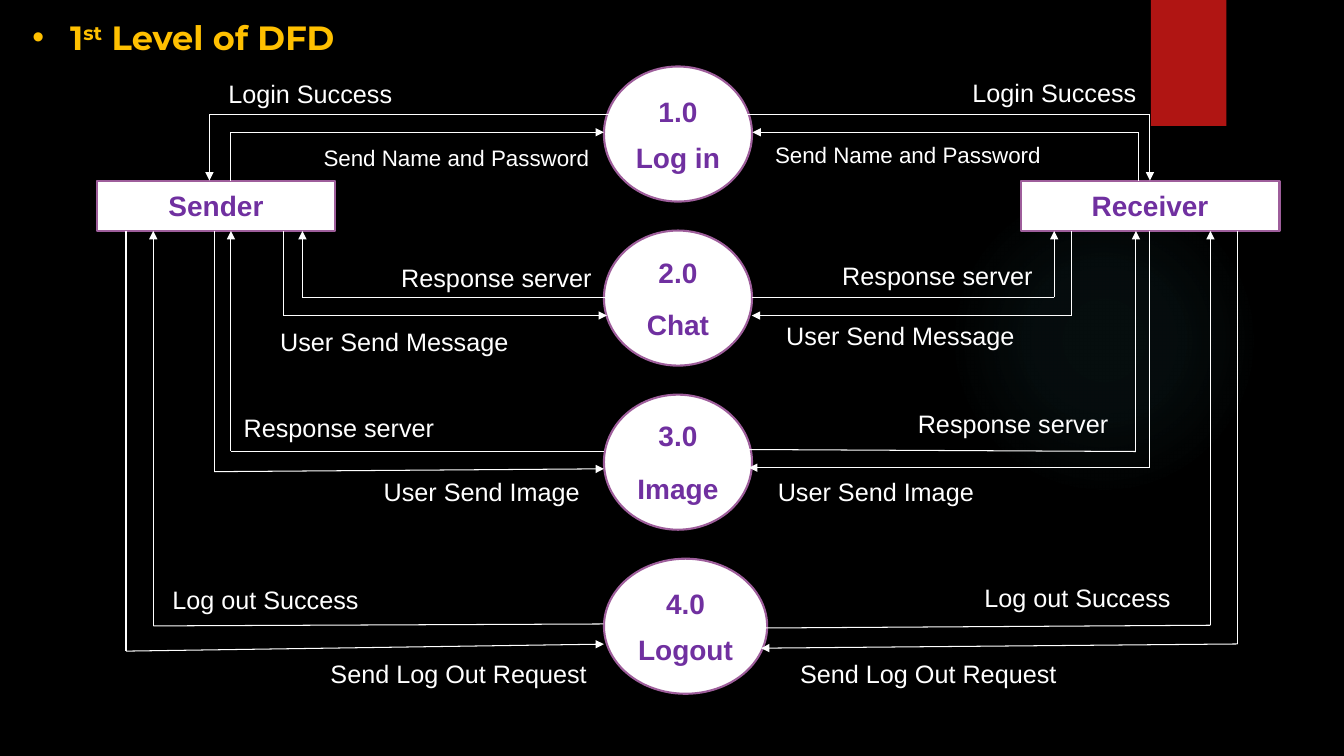
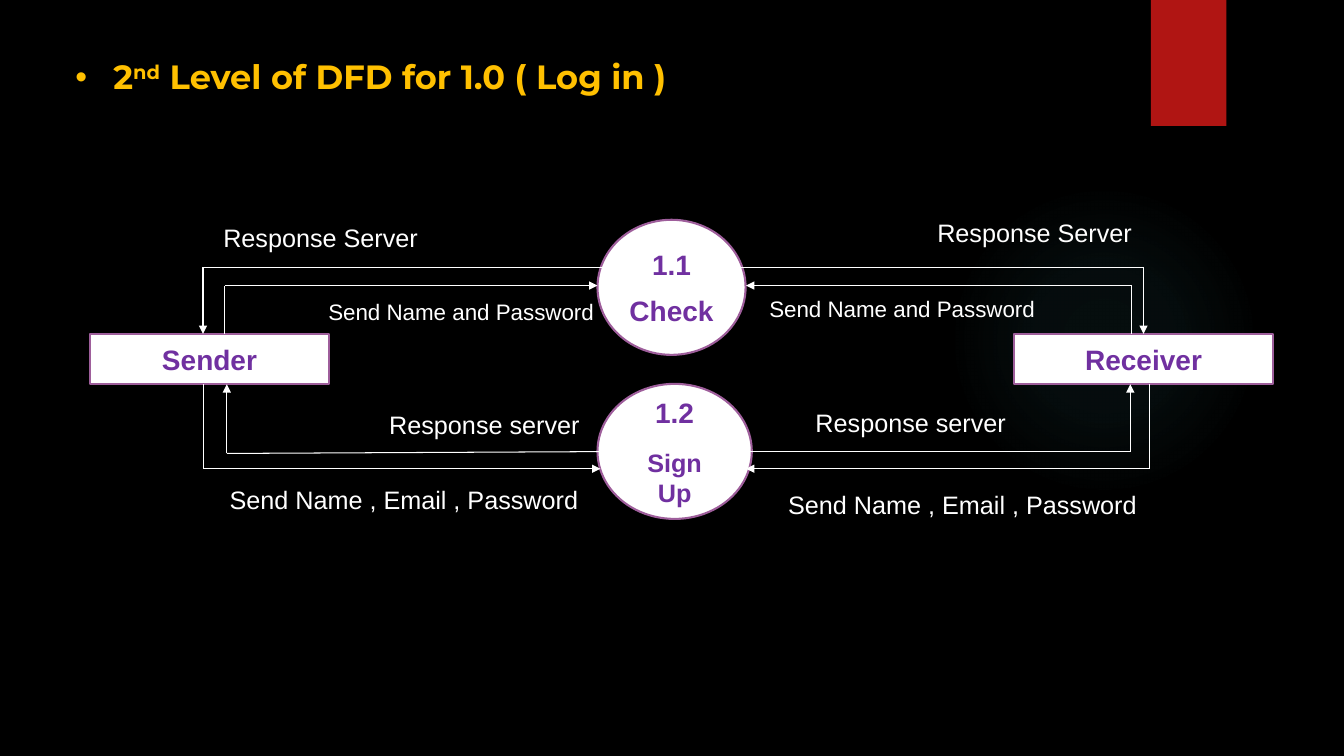
from dataclasses import dataclass

from lxml import etree
from pptx import Presentation
from pptx.dml.color import RGBColor
from pptx.enum import shapes as kinds, text as txt
from pptx.oxml import parse_xml
from pptx.oxml.ns import nsdecls, qn
from pptx.util import Pt

COLORS = {
    "background": "000000",
    "ribbon": "B01513",
    "glow": "50B9C1",
    "title": "FFC000",
    "box": "FFFFFF",
    "box_line": "9E5E9B",
    "box_text": "7030A0",
    "flow": "FFFFFF",
}
TITLE_FONT, BODY_FONT = "Montserrat", "Arial"
GLOW_STOPS = [(0, 7), (36, 6), (69, 0)]  # position and opacity in percent

# Diagram grid, relative to the diagram's top left corner
ROW_PITCH = 117.2
PROCESS_LEFT, PROCESS_HEIGHT = 362.4, 96.5
ENTITY_TOP, ENTITY_HEIGHT = 81.5, 36
ENTITIES = [("Sender", 0, 170.6), ("Receiver", 660, 185)]


@dataclass
class Lane:
    """Elbow from an entity column to a process port; y is relative to the row."""
    column: float
    port: float
    y: float
    drop: float = 0  # how much lower the lane is at the column


@dataclass
class Flow:
    """A named data flow: sender and receiver lanes, with a label spot for each."""
    label: str
    lanes: list
    spots: list
    size: int = 18


@dataclass
class Process:
    number: str
    name: str
    width: float
    name_gap: float
    reply: Flow    # process to entities
    request: Flow  # entities to process
    name_size: int = 20


def color(name):
    return RGBColor.from_string(COLORS[name])


def set_font(run, size, color_name, face=BODY_FONT, bold=False):
    style = {"size": Pt(size), "name": face, "bold": bold}
    for attribute, value in style.items():
        setattr(run.font, attribute, value)
    run.font.color.rgb = color(color_name)


def add_plain_shape(slide, kind, left, top, width, height):
    shape = slide.shapes.add_shape(kind, Pt(left), Pt(top), Pt(width), Pt(height))
    shape.shadow.inherit = False
    shape.line.fill.background()
    return shape


# Shared backdrop: black ground, soft glow, red ribbon
def add_base_slide(deck):
    slide = deck.slides.add_slide(deck.slide_layouts[6])
    slide.background.fill.solid()
    slide.background.fill.fore_color.rgb = color("background")

    glow = add_plain_shape(slide, kinds.MSO_SHAPE.OVAL, 677.5, 132, 222, 222)
    glow.fill.background()
    stops = "".join(
        f'<a:gs pos="{position * 1000}"><a:srgbClr val="{COLORS["glow"]}">'
        f'<a:alpha val="{opacity * 1000}"/></a:srgbClr></a:gs>'
        for position, opacity in GLOW_STOPS)
    gradient = parse_xml(
        f'<a:gradFill {nsdecls("a")}><a:gsLst>{stops}</a:gsLst><a:path path="circle">'
        '<a:fillToRect l="50000" t="50000" r="50000" b="50000"/></a:path></a:gradFill>')
    properties = glow._element.spPr
    properties.replace(properties.find(qn("a:noFill")), gradient)

    ribbon = add_plain_shape(slide, kinds.MSO_SHAPE.RECTANGLE, 822, 0, 54, 90)
    ribbon.fill.solid()
    ribbon.fill.fore_color.rgb = color("ribbon")
    return slide


# Bulleted title with a raised ordinal ending
def add_title(slide, left, top, width, ordinal, ending, rest):
    box = slide.shapes.add_textbox(Pt(left), Pt(top), Pt(width), Pt(36))
    box.text_frame.word_wrap = True
    paragraph = box.text_frame.paragraphs[0]
    layout = paragraph._p.get_or_add_pPr()
    layout.set("marL", str(Pt(27)))
    layout.set("indent", str(-Pt(27)))
    etree.SubElement(layout, qn("a:buFont")).set("typeface", BODY_FONT)
    etree.SubElement(layout, qn("a:buChar")).set("char", "•")
    for words, baseline in ((ordinal, 0), (ending, 30000), (f" {rest}", 0)):
        run = paragraph.add_run()
        run.text = words
        set_font(run, 24, "title", TITLE_FONT, bold=True)
        run._r.get_or_add_rPr().set("baseline", str(baseline))


# White box or circle; lines are (text, size, space before)
def add_node(slide, kind, left, top, width, height, lines):
    node = add_plain_shape(slide, kind, left, top, width, height)
    node.fill.solid()
    node.fill.fore_color.rgb = color("box")
    node.line.color.rgb = color("box_line")
    node.line.width = Pt(1.5)
    frame = node.text_frame
    layout = {"word_wrap": True, "vertical_anchor": txt.MSO_ANCHOR.MIDDLE,
              "margin_left": Pt(6), "margin_right": Pt(6)}
    for attribute, value in layout.items():
        setattr(frame, attribute, value)
    for index, (words, size, gap) in enumerate(lines):
        paragraph = frame.add_paragraph() if index else frame.paragraphs[0]
        paragraph.alignment = txt.PP_ALIGN.CENTER
        paragraph.space_before = Pt(gap)
        run = paragraph.add_run()
        run.text = words
        set_font(run, size, "box_text", bold=True)


def add_line(slide, start, end, arrow=False):
    line = slide.shapes.add_connector(
        kinds.MSO_CONNECTOR.STRAIGHT, *(Pt(value) for value in (*start, *end)))
    line.line.color.rgb = color("flow")
    line.line.width = Pt(0.75)
    if arrow:
        etree.SubElement(line.line._get_or_add_ln(), qn("a:tailEnd")).set("type", "triangle")
    etree.SubElement(line._element.spPr, qn("a:effectLst"))


def add_label(slide, left, top, words, size):
    width = len(words) * size * 0.6 + 16
    box = slide.shapes.add_textbox(Pt(left), Pt(top), Pt(width), Pt(size * 1.2 + 7.2))
    box.text_frame.word_wrap = True
    run = box.text_frame.paragraphs[0].add_run()
    run.text = words
    set_font(run, size, "flow")


# Both sides of one flow, with labels
def add_flow(slide, left, row_top, entity_edge, flow, to_process):
    for lane, (label_left, label_top) in zip(flow.lanes, flow.spots):
        entity = (left + lane.column, entity_edge)
        corner = (left + lane.column, row_top + lane.y + lane.drop)
        port = (left + lane.port, row_top + lane.y)
        if to_process:
            add_line(slide, entity, corner)
            add_line(slide, corner, port, arrow=True)
        else:
            add_line(slide, port, corner)
            add_line(slide, corner, entity, arrow=True)
        add_label(slide, left + label_left, row_top + label_top, flow.label, flow.size)


# Entities at the sides, processes down the middle; the first row is above the entities
def add_diagram(slide, left, top, processes):
    for name, offset, width in ENTITIES:
        add_node(slide, kinds.MSO_SHAPE.RECTANGLE, left + offset, top + ENTITY_TOP,
                 width, ENTITY_HEIGHT, [(name, 20, 0)])
    for row, process in enumerate(processes):
        row_top = top + row * ROW_PITCH
        edge = top + ENTITY_TOP + (ENTITY_HEIGHT if row else 0)
        add_node(slide, kinds.MSO_SHAPE.OVAL, left + PROCESS_LEFT, row_top,
                 process.width, PROCESS_HEIGHT,
                 [(process.number, 20, 0), (process.name, process.name_size, process.name_gap)])
        add_flow(slide, left, row_top, edge, process.reply, to_process=False)
        add_flow(slide, left, row_top, edge, process.request, to_process=True)


# Lanes of the top row, the same in both diagrams
TOP_REPLY = [Lane(80.6, 373, 34), Lane(752.4, 460, 34)]
TOP_REQUEST = [Lane(96, 362.4, 47), Lane(744, 468.5, 47)]

LEVEL_1 = [
    Process("1.0", "Log in", 105.8, 9,
            Flow("Login Success", TOP_REPLY, [(87, 5), (618.5, 4.5)]),
            Flow("Send Name and Password", TOP_REQUEST, [(155, 52), (477.5, 49.5)], 16)),
    Process("2.0", "Chat", 105.8, 13.5,
            Flow("Response server", [Lane(147, 364.5, 47.7), Lane(684, 468, 47.7)],
                 [(210.5, 19), (525.5, 17.5)]),
            Flow("User Send Message", [Lane(133.4, 364.5, 60.7), Lane(696.3, 468, 60.7)],
                 [(124, 65), (485.5, 60.5)])),
    Process("3.0", "Image", 105.8, 14,
            Flow("Response server", [Lane(96, 362.4, 40.5), Lane(742.4, 466, 39.2, 1.4)],
                 [(98, 9), (579.5, 6)]),
            Flow("User Send Image", [Lane(84, 362.4, 53, 2), Lane(752.4, 466, 52.2)],
                 [(198, 55), (479.5, 55)])),
    Process("4.0", "Logout", 116.6, 8.5,
            Flow("Log out Success", [Lane(40.5, 362, 46.6, 1.4), Lane(795.6, 474.6, 49.5, -2)],
                 [(47, 15), (627, 13.5)]),
            Flow("Send Log Out Request", [Lane(21, 362.4, 61, 5), Lane(815, 474.6, 63.9, -3)],
                 [(160, 67.5), (495.5, 67.5)])),
]

LEVEL_2 = [
    Process("1.1", "Check", 105.8, 9,
            Flow("Response Server", TOP_REPLY, [(88, -1.5), (598, -5)]),
            Flow("Send Name and Password", TOP_REQUEST, [(163, 52.5), (478, 50.5)], 16)),
    Process("1.2", "Sign Up", 110.2, 13,
            Flow("Response server", [Lane(97.6, 364.5, 48.4, 1.3), Lane(743, 468.5, 48.4)],
                 [(206.5, 14.5), (511, 13)]),
            Flow("Send Name , Email , Password", [Lane(81, 364.5, 60.6), Lane(757, 468.5, 60.6)],
                 [(92.5, 68.5), (491.5, 72)]),
            name_size=18),
]


def main():
    deck = Presentation()
    deck.slide_width, deck.slide_height = Pt(960), Pt(540)

    level_1 = add_base_slide(deck)
    add_diagram(level_1, 69, 47.5, LEVEL_1)
    add_title(level_1, 16, 8.6, 306, "1", "st", "Level of DFD")

    level_2 = add_base_slide(deck)
    add_diagram(level_2, 64.4, 157, LEVEL_2)
    add_title(level_2, 46.8, 36.7, 497, "2", "nd", "Level of DFD for 1.0 ( Log in )")

    deck.save("out.pptx")


if __name__ == "__main__":
    main()
